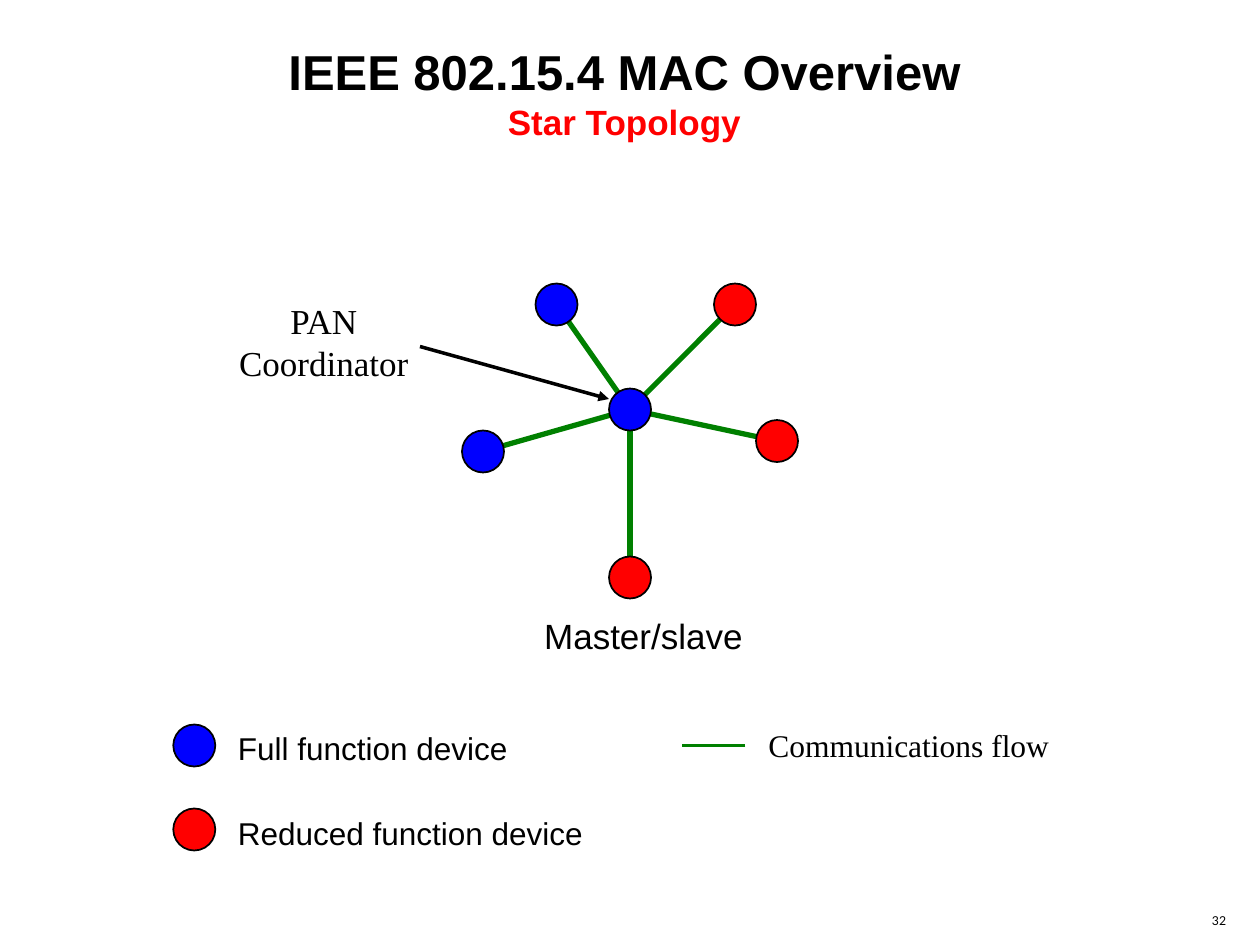
from lxml import etree
from pptx import Presentation
from pptx.dml.color import RGBColor
from pptx.enum.shapes import MSO_CONNECTOR, MSO_SHAPE
from pptx.enum.text import MSO_ANCHOR, MSO_AUTO_SIZE, PP_ALIGN
from pptx.oxml.ns import qn
from pptx.util import Inches, Pt

LEFT, CENTER = PP_ALIGN.LEFT, PP_ALIGN.CENTER
TOP, MIDDLE = MSO_ANCHOR.TOP, MSO_ANCHOR.MIDDLE
STRAIGHT, OVAL = MSO_CONNECTOR.STRAIGHT, MSO_SHAPE.OVAL
GROW, FIXED = MSO_AUTO_SIZE.SHAPE_TO_FIT_TEXT, MSO_AUTO_SIZE.NONE

COLORS = {"black": "000000", "red": "FF0000", "full": "0000FF",
          "reduced": "FF0000", "flow": "008000"}
SANS, SERIF, NUMBER_FONT = "Arial", "Times New Roman", "Lato"

# Content: points are (column, row) on a grid of 12 cells to the inch
CELL = Inches(1) / 12
DEVICE_SIZE = 4
COORDINATOR = (60, 39)
DEVICES = [((46, 43), "full"), ((60, 55), "reduced"), ((53, 29), "full"),
           ((70, 29), "reduced"), ((74, 42), "reduced")]
LEGEND_DEVICES = [((18.5, 71), "full"), ((18.5, 79), "reduced")]
LEGEND_FLOW = ((71, 71), (65, 71))
POINTER = ((40, 33), (58, 38))

# Each label: box in inches, lines of (text, format), paragraph alignment
LEGEND_TEXT = {"size": Pt(18), "name": SANS}
NAME_TEXT = {"size": Pt(20), "name": SERIF}
LABELS = [
    ((1.79, 5.74, 2.36, 0.4), [("Full function device", LEGEND_TEXT)], LEFT),
    ((1.79, 6.41, 2.96, 0.4), [("Reduced function device", LEGEND_TEXT)], LEFT),
    ((6, 5.71, 2.45, 0.4),
     [("Communications flow", {"size": Pt(18), "name": SERIF})], LEFT),
    ((4.22, 4.83, 1.8, 0.44),
     [("Master/slave", {"size": Pt(20), "name": SANS})], LEFT),
    ((1.77, 2.33, 1.6, 0.77),
     [("PAN", NAME_TEXT), ("Coordinator", NAME_TEXT)], CENTER),
]
TITLE_BOX = (1.08, 0.28, 7.75, 0.9)
TITLE = [
    ("IEEE 802.15.4 MAC Overview",
     {"size": Pt(28), "name": SANS, "bold": True}),
    ("Star Topology",
     {"size": Pt(20), "name": SANS, "bold": True, "color": "red"}),
]
NUMBER_BOX = (9.45, 7.14, 0.45, 0.33)
NUMBER = [("32", {"size": Pt(7), "name": NUMBER_FONT})]


def rgb(key):
    return RGBColor.from_string(COLORS[key])


def grid(*cells):
    return [round(cell * CELL) for cell in cells]


def add_line(slide, start, end, color, width, arrow=False):
    line = slide.shapes.add_connector(STRAIGHT, *grid(*start, *end))
    line.line.color.rgb = rgb(color)
    line.line.width = Pt(width)
    if arrow:
        etree.SubElement(line.line._get_or_add_ln(), qn("a:tailEnd"),
                         type="triangle")
    etree.SubElement(line._element.spPr, qn("a:effectLst"))


def add_device(slide, center, kind):
    left, top = (cell - DEVICE_SIZE / 2 for cell in center)
    device = slide.shapes.add_shape(
        OVAL, *grid(left, top, DEVICE_SIZE, DEVICE_SIZE))
    device.shadow.inherit = False
    device.fill.solid()
    device.fill.fore_color.rgb = rgb(kind)
    device.line.color.rgb = rgb("black")
    device.line.width = Pt(1)


def add_text(slide, box, lines, align, wrap=False, anchor=TOP, fit=GROW):
    frame = slide.shapes.add_textbox(*map(Inches, box)).text_frame
    frame.word_wrap = wrap
    frame.auto_size = fit
    frame.vertical_anchor = anchor
    for index, (text, style) in enumerate(lines):
        paragraph = frame.add_paragraph() if index else frame.paragraphs[0]
        paragraph.alignment = align
        run = paragraph.add_run()
        run.text = text
        for attribute, value in style.items():
            if attribute != "color":
                setattr(run.font, attribute, value)
        run.font.color.rgb = rgb(style.get("color", "black"))


def main():
    deck = Presentation()
    deck.slide_width, deck.slide_height = Inches(10), Inches(7.5)
    slide = deck.slides.add_slide(deck.slide_layouts[6])

    # Star: links first, so that every device covers the ends
    for center, _ in DEVICES:
        add_line(slide, COORDINATOR, center, "flow", 3)
    for center, kind in DEVICES + [(COORDINATOR, "full")] + LEGEND_DEVICES:
        add_device(slide, center, kind)

    # Legend line and pointer to the coordinator
    add_line(slide, *LEGEND_FLOW, "flow", 1.5)
    add_line(slide, *POINTER, "black", 2, arrow=True)

    # Text
    for box, lines, align in LABELS:
        add_text(slide, box, lines, align)
    add_text(slide, TITLE_BOX, TITLE, CENTER, wrap=True)
    add_text(slide, NUMBER_BOX, NUMBER, CENTER, wrap=True, anchor=MIDDLE,
             fit=FIXED)

    deck.save("out.pptx")


if __name__ == "__main__":
    main()
